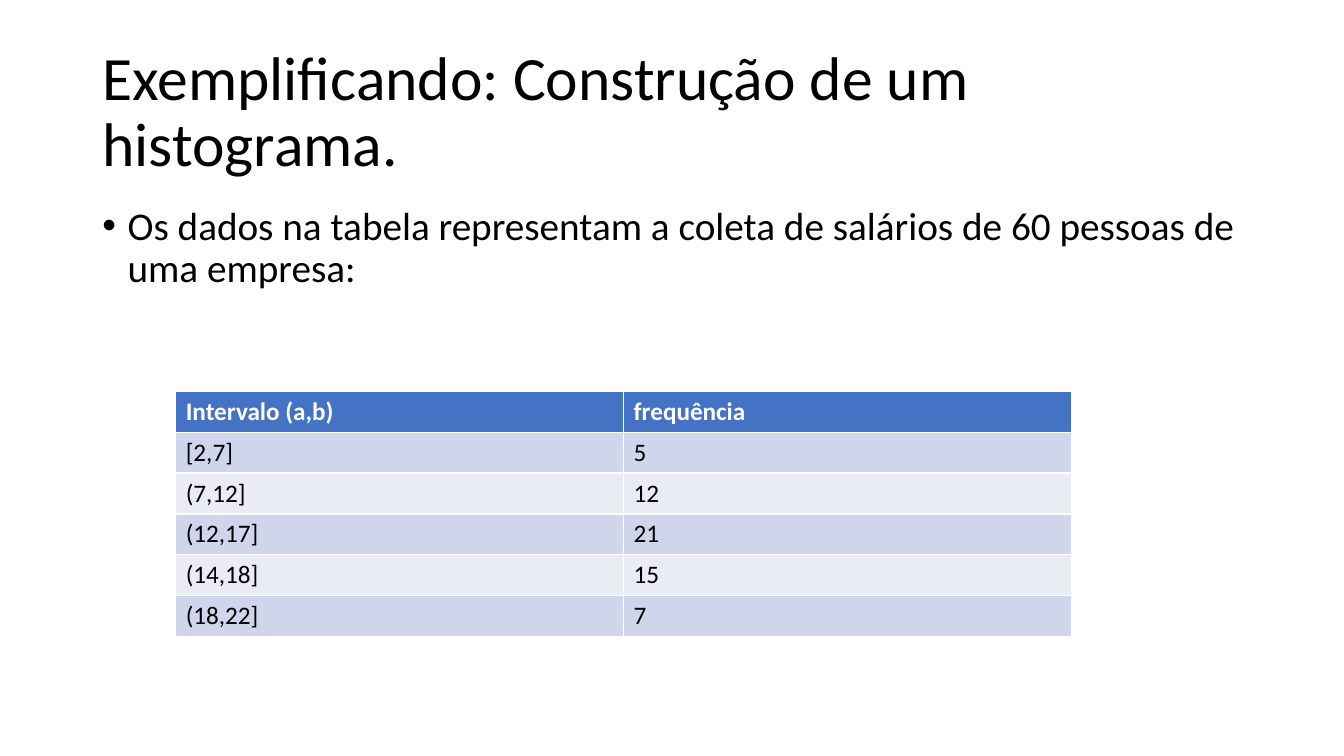
from pptx import Presentation
from pptx.dml.color import RGBColor
from pptx.enum.text import MSO_ANCHOR, MSO_AUTO_SIZE, PP_ALIGN
from pptx.util import Pt


def paint(target, color):
    target.rgb = RGBColor.from_string(color)


def write(frame, text, size, color="000000", bold=False):
    """Fill a text frame with one left-aligned paragraph and return it."""
    frame.text = text
    par = frame.paragraphs[0]
    par.alignment = PP_ALIGN.LEFT
    font = par.runs[0].font
    for name, value in {"name": "Calibri", "size": Pt(size), "bold": bold}.items():
        setattr(font, name, value)
    paint(font.color, color)
    return par


deck = Presentation()
deck.slide_width, deck.slide_height = Pt(960), Pt(540)
slide = deck.slides.add_slide(deck.slide_layouts[1])

# Title and bullet
title, body = slide.placeholders
blocks = [
    (title, 28.75, 104.4, MSO_ANCHOR.MIDDLE, 44,
     "Exemplificando: Construção de um histograma."),
    (body, 143.75, 342.6, MSO_ANCHOR.TOP, 28,
     "Os dados na tabela representam a coleta de salários de 60 pessoas "
     "de uma empresa:"),
]
for shape, top, height, anchor, size, text in blocks:
    box = {"left": 66, "top": top, "width": 828, "height": height}
    for name, value in box.items():
        setattr(shape, name, Pt(value))
    frame = shape.text_frame
    frame.word_wrap = True
    frame.auto_size = MSO_AUTO_SIZE.NONE
    frame.vertical_anchor = anchor
    par = write(frame, text, size)
    par.line_spacing = 0.9

par.space_before = Pt(10)
props = par._p.get_or_add_pPr()
props.set("marL", str(Pt(18)))
props.set("indent", str(Pt(-18)))

# Frequency table: the default style draws the white borders
rows = [
    ("Intervalo (a,b)", "frequência"),
    ("[2,7]", "5"),
    ("(7,12]", "12"),
    ("(12,17]", "21"),
    ("(14,18]", "15"),
    ("(18,22]", "7"),
]
table = slide.shapes.add_table(
    len(rows), 2, Pt(125.5), Pt(279.5), Pt(640), Pt(29.2 * len(rows))).table
for r, row in enumerate(rows):
    head = r == 0
    fill = "4472C4" if head else ("E9EBF5", "CFD5EA")[r % 2]
    for c, text in enumerate(row):
        cell = table.cell(r, c)
        cell.fill.solid()
        paint(cell.fill.fore_color, fill)
        write(cell.text_frame, text, 18, "FFFFFF" if head else "000000", head)

deck.save("out.pptx")
